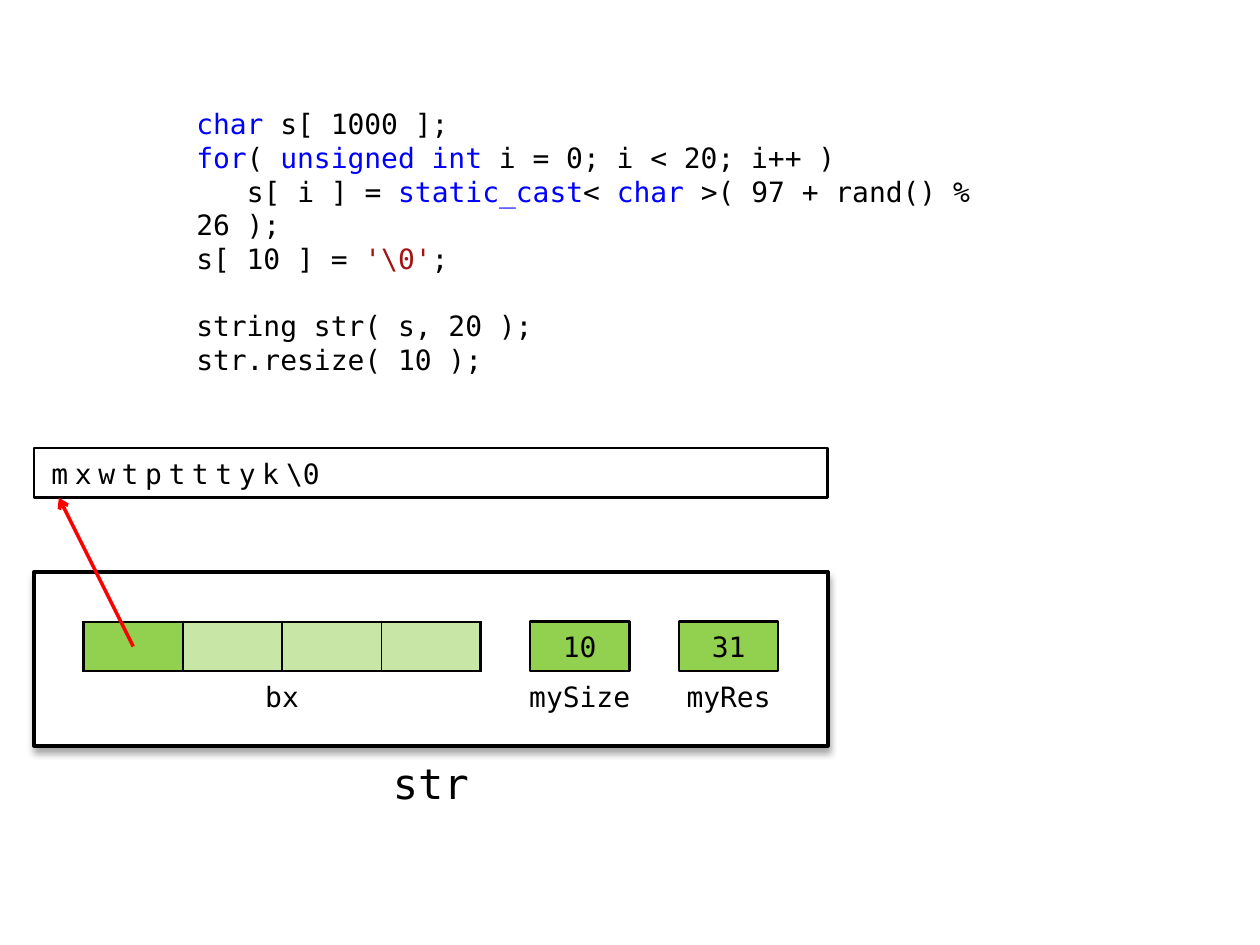
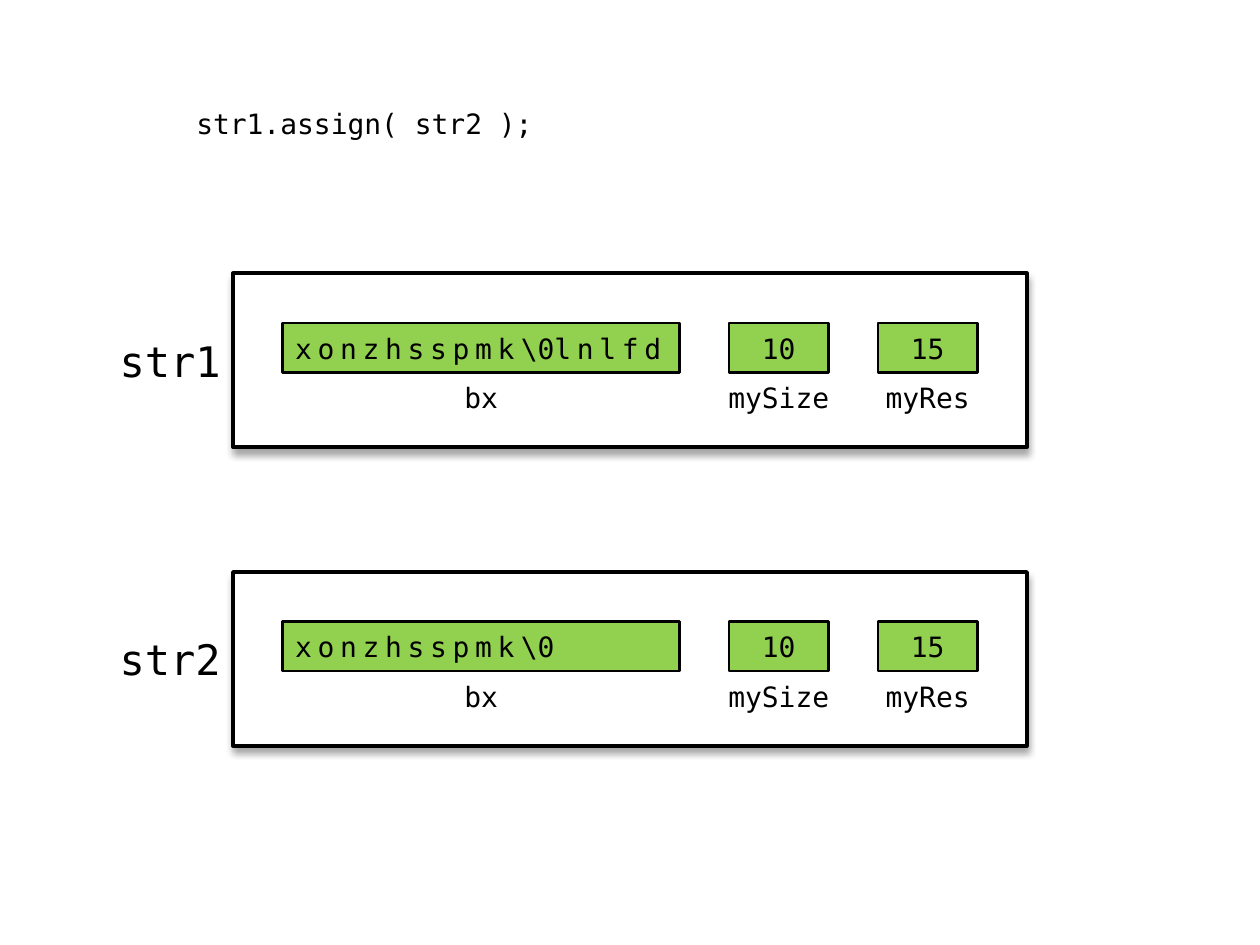
from dataclasses import dataclass
from typing import Any, NamedTuple, Sequence

from lxml.etree import SubElement
from pptx import Presentation
from pptx.dml.color import RGBColor
from pptx.enum.shapes import MSO_CONNECTOR, MSO_SHAPE
from pptx.enum.text import MSO_ANCHOR, PP_ALIGN
from pptx.oxml.ns import qn
from pptx.util import Pt


@dataclass(frozen=True)
class Theme:
    font: str = "DejaVu Sans Mono"
    ink: str = "000000"
    paper: str = "FFFFFF"
    keyword: str = "0000FF"
    literal: str = "A31515"
    member: str = "92D050"
    pointer: str = "FF0000"
    code_size: float = 16
    name_size: float = 24
    line_height: float = 19.2
    member_line: float = 1.5
    inner_line: float = 1
    frame_line: float = 2.25
    pointer_line: float = 2


THEME = Theme()
UNIT = 28.35  # grid step of all diagrams, in points
FRAME_TOP = 326.9


class Span(NamedTuple):
    text: str
    color: str = THEME.ink
    spacing: float = 0


class CodeLine(NamedTuple):
    spans: Sequence[Span]
    space_before: float = 0
    indent: float = 0


class Area(NamedTuple):
    left: float
    top: float
    width: float
    height: float

    def inset(self, column: float, row: float, columns: float, rows: float = 1) -> "Area":
        """Area placed by grid steps from this area's top left corner."""
        return Area(self.left + column * UNIT, self.top + row * UNIT,
                    columns * UNIT, rows * UNIT)

    def lengths(self) -> list[Pt]:
        return [Pt(value) for value in self]


class Member(NamedTuple):
    name: str
    column: float
    columns: float
    label_columns: float


class StringObject(NamedTuple):
    name: str
    top: float
    buffer: Sequence[Span]
    size: str
    reserved: str


BUFFER = Member("bx", 1, 8, 2)
SIZE = Member("mySize", 10, 2, 3)
RESERVED = Member("myRes", 13, 2, 3)
TERMINATOR = (Span("\\", spacing=-1.5), Span("0"))


def keyword(text: str) -> Span:
    return Span(text, THEME.keyword)


RESIZE_CODE = (
    CodeLine((keyword("char"), Span(" s[ 1000 ];"))),
    CodeLine((keyword("for"), Span("( "), keyword("unsigned int "),
              Span("i = 0; i < 20; i++ )"))),
    CodeLine((Span("s[ i ] = "), keyword("static_cast"), Span("< "), keyword("char"),
              Span(" >( 97 + rand() % 26 );")), indent=28.9),
    CodeLine((Span("s[ 10 ] = "), Span(r"'\0'", THEME.literal), Span(";"))),
    CodeLine((Span("string str( s, 20 );"),), space_before=THEME.line_height),
    CodeLine((Span("str.resize( 10 );"),)),
)
ASSIGN_CODE = (CodeLine((Span("str1.assign( str2 );"),)),)

HEAP_TEXT = (Span("mxwtptttyk", spacing=3.8), *TERMINATOR)
SHORT_TEXT = (Span("xonzhsspmk", spacing=3.3), *TERMINATOR)
STRINGS = (
    StringObject("str1", 156.25, (*SHORT_TEXT, Span("lnlfd", spacing=3.3)), "10", "15"),
    StringObject("str2", FRAME_TOP, SHORT_TEXT, "10", "15"),
)


def apply_format(target: Any, values: dict[str, Any]) -> None:
    for name, value in values.items():
        setattr(target, name, value)


def add_spans(para: Any, spans: Sequence[Span], size: float) -> None:
    for span in spans:
        run = para.add_run()
        run.text = span.text
        apply_format(run.font, {"name": THEME.font, "size": Pt(size)})
        run.font.color.rgb = RGBColor.from_string(span.color)
        if span.spacing:
            run._r.get_or_add_rPr().set("spc", str(round(span.spacing * 100)))


def write_line(shape: Any, spans: Sequence[Span], align: PP_ALIGN,
               size: float = THEME.code_size, margin_left: float = 7.2) -> None:
    frame = shape.text_frame
    apply_format(frame, {"word_wrap": True, "vertical_anchor": MSO_ANCHOR.MIDDLE,
                         "margin_left": Pt(margin_left)})
    para = frame.paragraphs[0]
    para.alignment = align
    add_spans(para, spans, size)


def add_box(page: Any, area: Area, kind: MSO_SHAPE, fill: str | None = None,
            line: float = 0) -> Any:
    """Preset shape, with neither fill nor outline unless given."""
    box = page.shapes.add_shape(kind, *area.lengths())
    box.shadow.inherit = False
    if fill:
        box.fill.solid()
        box.fill.fore_color.rgb = RGBColor.from_string(fill)
    else:
        box.fill.background()
    if line:
        box.line.color.rgb = RGBColor.from_string(THEME.ink)
        box.line.width = Pt(line)
    else:
        box.line.fill.background()
    return box


def add_frame(page: Any, area: Area) -> None:
    frame = add_box(page, area, MSO_SHAPE.FLOWCHART_PROCESS, THEME.paper, THEME.frame_line)
    effects = frame._element.spPr.find(qn("a:effectLst"))
    shadow = SubElement(effects, qn("a:outerShdw"), blurRad=str(Pt(4)), dist=str(Pt(3)),
                        dir="5400000", rotWithShape="0")
    color = SubElement(shadow, qn("a:srgbClr"), val=THEME.ink)
    SubElement(color, qn("a:alpha"), val="35000")


def add_member_label(page: Any, frame: Area, member: Member) -> None:
    column = member.column + (member.columns - member.label_columns) / 2
    label = add_box(page, frame.inset(column, 2, member.label_columns),
                    MSO_SHAPE.FLOWCHART_PROCESS)
    write_line(label, (Span(member.name),), PP_ALIGN.CENTER)


def add_member(page: Any, frame: Area, member: Member, value: Sequence[Span],
               align: PP_ALIGN = PP_ALIGN.CENTER) -> None:
    box = add_box(page, frame.inset(member.column, 1, member.columns), MSO_SHAPE.RECTANGLE,
                  THEME.member, THEME.member_line)
    write_line(box, value, align)
    add_member_label(page, frame, member)


def add_counts(page: Any, frame: Area, size: str, reserved: str) -> None:
    for member, value in ((SIZE, size), (RESERVED, reserved)):
        add_member(page, frame, member, (Span(value),))


def add_name(page: Any, area: Area, name: str, align: PP_ALIGN, margin_left: float) -> None:
    box = page.shapes.add_textbox(*area.lengths())
    write_line(box, (Span(name),), align, THEME.name_size, margin_left)


def add_code(page: Any, lines: Sequence[CodeLine], rows: float) -> None:
    box = page.shapes.add_textbox(*Area(105.1, 57.6, 18 * UNIT, rows * UNIT).lengths())
    frame = box.text_frame
    frame.word_wrap = True
    for index, line in enumerate(lines):
        para = frame.add_paragraph() if index else frame.paragraphs[0]
        apply_format(para, {"space_before": Pt(line.space_before),
                            "alignment": PP_ALIGN.LEFT})
        if line.indent:
            para._p.get_or_add_pPr().set("indent", str(Pt(line.indent)))
        add_spans(para, line.spans, THEME.code_size)


def set_border(properties: Any, tag: str, width: float) -> None:
    border = SubElement(properties, qn(tag), w=str(Pt(width)))
    SubElement(SubElement(border, qn("a:solidFill")), qn("a:srgbClr"), val=THEME.ink)


def add_pointer_table(page: Any, area: Area, columns: int) -> None:
    """Bytes of the buffer; the first cell holds the pointer, the rest are pale."""
    table = page.shapes.add_table(1, columns, *area.lengths()).table
    apply_format(table, {"first_row": False, "horz_banding": False})
    for index, cell in enumerate(table.rows[0].cells):
        table.columns[index].width = Pt(area.width / columns)
        apply_format(cell, {"margin_top": 0, "margin_bottom": 0})
        properties = cell._tc.get_or_add_tcPr()
        widths = {
            "a:lnL": THEME.inner_line if index else THEME.member_line,
            "a:lnR": THEME.inner_line if index < columns - 1 else THEME.member_line,
            "a:lnT": THEME.member_line,
            "a:lnB": THEME.member_line,
        }
        for tag, width in widths.items():
            set_border(properties, tag, width)
        fill = SubElement(properties, qn("a:solidFill"))
        color = SubElement(fill, qn("a:srgbClr"), val=THEME.member)
        if index:
            SubElement(color, qn("a:alpha"), val="50000")


def add_pointer(page: Any, start: Area, end: Area) -> None:
    """Arrow between the top left corners of two areas."""
    points = [Pt(value) for value in (start.left, start.top, end.left, end.top)]
    arrow = page.shapes.add_connector(MSO_CONNECTOR.STRAIGHT, *points)
    arrow.line.color.rgb = RGBColor.from_string(THEME.pointer)
    arrow.line.width = Pt(THEME.pointer_line)
    properties = arrow._element.spPr
    SubElement(properties.find(qn("a:ln")), qn("a:tailEnd"), type="arrow")
    SubElement(properties, qn("a:effectLst"))


def draw_resize(page: Any) -> None:
    frame = Area(19.45, FRAME_TOP, 16 * UNIT, 3.5 * UNIT)
    add_code(page, RESIZE_CODE, 5)
    add_name(page, frame.inset(6.5, 3.5, 3, 1.5), "str", PP_ALIGN.CENTER, 7.2)
    add_frame(page, frame)
    add_member_label(page, frame, BUFFER)
    add_counts(page, frame, "10", "31")
    add_pointer_table(page, frame.inset(BUFFER.column, 1, BUFFER.columns), 4)
    heap = add_box(page, frame.inset(0, -2.5, 16), MSO_SHAPE.RECTANGLE,
                   THEME.paper, THEME.member_line)
    write_line(heap, HEAP_TEXT, PP_ALIGN.LEFT, margin_left=10)
    add_pointer(page, frame.inset(2, 1.5, 0, 0), frame.inset(0.5, -1.5, 0, 0))


def draw_assign(page: Any) -> None:
    add_code(page, ASSIGN_CODE, 1)
    for item in STRINGS:
        frame = Area(133.2, item.top, 16 * UNIT, 3.5 * UNIT)
        add_name(page, frame.inset(-2.5, 1, 2.5, 1.5), item.name, PP_ALIGN.RIGHT, 5.76)
        add_frame(page, frame)
        add_member(page, frame, BUFFER, item.buffer, PP_ALIGN.LEFT)
        add_counts(page, frame, item.size, item.reserved)


def main() -> None:
    deck = Presentation()
    apply_format(deck, {"slide_width": Pt(720), "slide_height": Pt(540)})
    for draw in (draw_resize, draw_assign):
        draw(deck.slides.add_slide(deck.slide_layouts[6]))
    deck.save("out.pptx")


if __name__ == "__main__":
    main()
